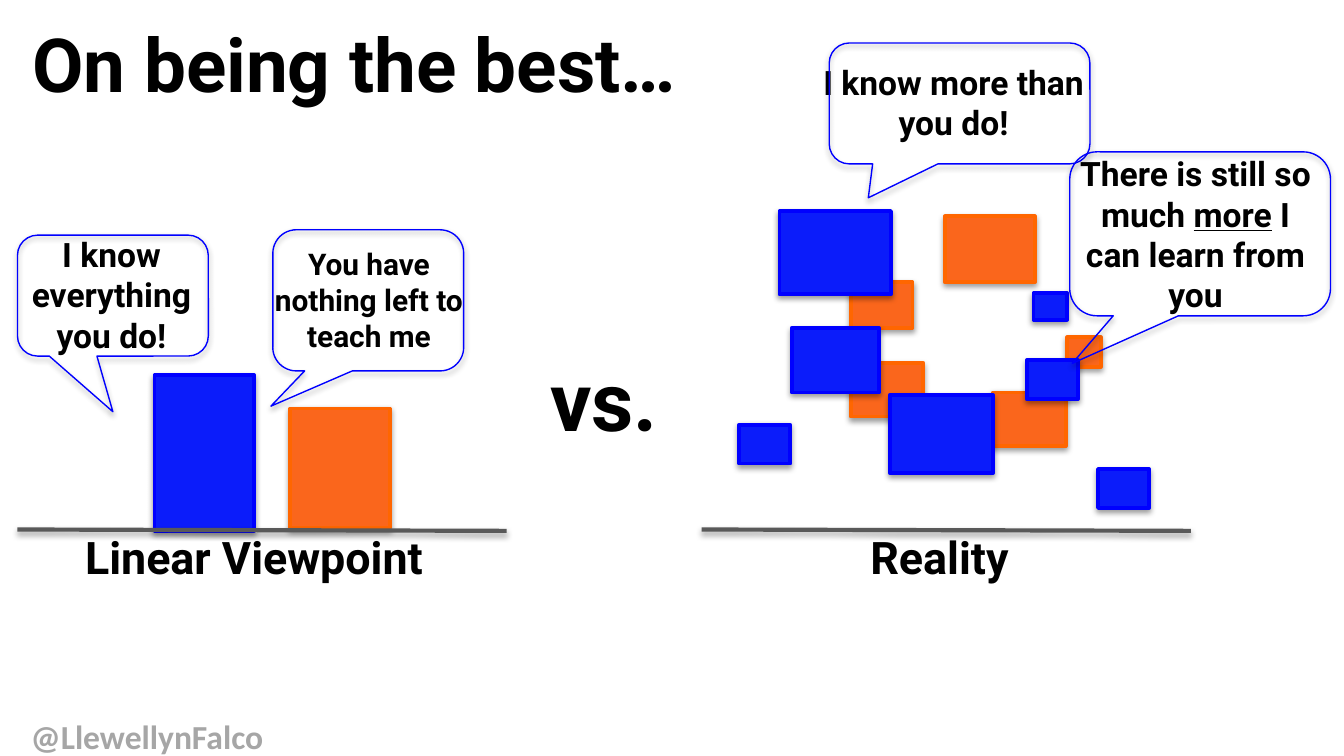
from dataclasses import dataclass

from lxml.etree import SubElement
from pptx import Presentation
from pptx.dml.color import RGBColor
from pptx.enum.shapes import MSO_CONNECTOR, MSO_SHAPE
from pptx.enum.text import MSO_ANCHOR, MSO_AUTO_SIZE, PP_ALIGN
from pptx.oxml.ns import qn
from pptx.util import Inches, Pt


@dataclass(frozen=True)
class Theme:
    ink: str = "000000"
    grey: str = "A6A6A6"
    floor: str = "595959"
    blue: str = "0B1CFA"
    rim: str = "0000FF"
    orange: str = "FA661C"
    edge: str = "FF6600"
    font: str = "Roboto"
    plain: str = "Calibri"
    title: int = 40
    versus: int = 44
    label: int = 24
    speech: int = 18
    small: int = 16


@dataclass(frozen=True)
class Box:
    left: float
    top: float
    width: float
    height: float

    def place(self) -> tuple:
        return tuple(map(Inches, (self.left, self.top, self.width, self.height)))


@dataclass(frozen=True)
class Bubble:
    box: Box
    tip: tuple[float, float]


@dataclass(frozen=True)
class Label:
    box: Box
    text: str
    size: int


THEME = Theme()
WIDTH = Inches(10)
HEIGHT = WIDTH * 9 // 16
FLOORS = (0.13, 3.77), (5.22, 8.86)
LABELS = (
    Label(Box(3.85, 2.55, 1.29, 0.84), "vs.", THEME.versus),
    Label(Box(-0.05, 3.89, 3.88, 0.5), "Linear Viewpoint", THEME.label),
    Label(Box(0.03, 1.69, 1.6, 1.01), "I know everything you do!", THEME.speech),
    Label(Box(1.9, 1.78, 1.69, 0.91), "You have nothing left to teach me", THEME.small),
    Label(Box(5.05, 3.89, 3.88, 0.5), "Reality", THEME.label),
    Label(Box(5.97, 0.41, 2.25, 0.71), "I know more than you do!", THEME.speech),
    Label(Box(7.89, 1.09, 2.01, 1.31),
          "There is still so much _more_ I can learn from you", THEME.speech),
)
ORANGE = (
    Box(2.16, 3.04, 0.74, 0.89),
    Box(6.33, 2.1, 0.46, 0.34),
    Box(6.33, 2.7, 0.54, 0.4),
    Box(7.03, 1.61, 0.67, 0.49),
    Box(7.39, 2.92, 0.54, 0.4),
    Box(7.94, 2.51, 0.25, 0.22),
)
BLUE = (
    Box(1.15, 2.79, 0.74, 1.16),
    Box(5.89, 2.44, 0.65, 0.48),
    Box(6.62, 2.94, 0.77, 0.58),
    Box(5.8, 1.57, 0.83, 0.62),
    Box(7.64, 2.68, 0.38, 0.29),
    Box(8.17, 3.49, 0.38, 0.29),
    Box(5.5, 3.16, 0.38, 0.29),
    Box(7.69, 2.18, 0.25, 0.2),
)
BUBBLES = (
    Bubble(Box(0.13, 1.75, 1.42, 0.9), (0, 0.96)),
    Bubble(Box(2.03, 1.71, 1.42, 1.05), (-0.51, 0.75)),
    Bubble(Box(6.17, 0.32, 1.94, 0.9), (-0.35, 0.78)),
    Bubble(Box(7.96, 1.13, 1.94, 1.22), (-0.49, 0.79)),
)


def tint(color: str) -> RGBColor:
    return RGBColor.from_string(color)


def apply(target, values: dict) -> None:
    for name, value in values.items():
        setattr(target, name, value)


def write(frame, text: str, size: int, color: str = THEME.ink,
          font: str = THEME.font, align=PP_ALIGN.CENTER, wrap: bool = True) -> None:
    """Fill a text frame; words between underscores are underlined."""
    apply(frame, {"word_wrap": wrap, "auto_size": MSO_AUTO_SIZE.NONE,
                  "vertical_anchor": MSO_ANCHOR.TOP})
    para = frame.paragraphs[0]
    apply(para, {"alignment": align, "line_spacing": 1.0, "space_before": Pt(0)})
    for index, part in enumerate(text.split("_")):
        run = para.add_run()
        run.text = part
        apply(run.font, {"name": font, "size": Pt(size), "bold": True,
                         "underline": index % 2 == 1})
        run.font.color.rgb = tint(color)


def shade(effects, alpha: int, drop: float) -> None:
    """Add a soft black shadow straight below."""
    shadow = SubElement(effects, qn("a:outerShdw"), blurRad=str(Pt(3.1)),
                        dist=str(Pt(drop)), dir="5400000", rotWithShape="0")
    black = SubElement(shadow, qn("a:srgbClr"), val=THEME.ink)
    SubElement(black, qn("a:alpha"), val=str(alpha * 1000))


def draw_shape(slide, kind, box: Box, line: str, width: float, fill: str = ""):
    shape = slide.shapes.add_shape(kind, *box.place())
    if fill:
        shape.fill.solid()
        shape.fill.fore_color.rgb = tint(fill)
    else:
        shape.fill.background()
    shape.line.color.rgb = tint(line)
    shape.line.width = Pt(width)
    shape.shadow.inherit = False
    shade(shape._element.spPr.find(qn("a:effectLst")), 38, 1.6)
    return shape


def draw_bubble(slide, bubble: Bubble) -> None:
    shape = draw_shape(slide, MSO_SHAPE.ROUNDED_RECTANGULAR_CALLOUT,
                       bubble.box, THEME.rim, 0.75)
    for index, value in enumerate(bubble.tip):
        shape.adjustments[index] = value


def draw_floor(slide, start: float, end: float) -> None:
    line = slide.shapes.add_connector(
        MSO_CONNECTOR.STRAIGHT, *map(Inches, (start, 3.94, end, 3.95)))
    line.line.color.rgb = tint(THEME.floor)
    line.line.width = Pt(2.25)
    shade(SubElement(line._element.spPr, qn("a:effectLst")), 35, 1.8)


def draw_label(slide, label: Label, **style) -> None:
    box = slide.shapes.add_textbox(*label.box.place())
    write(box.text_frame, label.text, label.size, **style)


def main() -> None:
    deck = Presentation()
    apply(deck, {"slide_width": WIDTH, "slide_height": HEIGHT})
    slide = deck.slides.add_slide(deck.slide_layouts[5])

    title = slide.shapes.title
    spot = Box(0.14, 0.08, 5.94, 0.77).place()
    apply(title, dict(zip(("left", "top", "width", "height"), spot)))
    write(title.text_frame, "On being the best…", THEME.title, align=PP_ALIGN.LEFT)

    draw_label(slide, Label(Box(0.13, 5.28, 1.96, 0.41), "@LlewellynFalco", THEME.speech),
               color=THEME.grey, font=THEME.plain, align=PP_ALIGN.LEFT, wrap=False)
    for label in LABELS:
        draw_label(slide, label)
    for box in ORANGE:
        draw_shape(slide, MSO_SHAPE.RECTANGLE, box, THEME.edge, 2, THEME.orange)
    for box in BLUE:
        draw_shape(slide, MSO_SHAPE.RECTANGLE, box, THEME.rim, 2, THEME.blue)
    for start, end in FLOORS:
        draw_floor(slide, start, end)
    for bubble in BUBBLES:
        draw_bubble(slide, bubble)
    deck.save("out.pptx")


if __name__ == "__main__":
    main()
